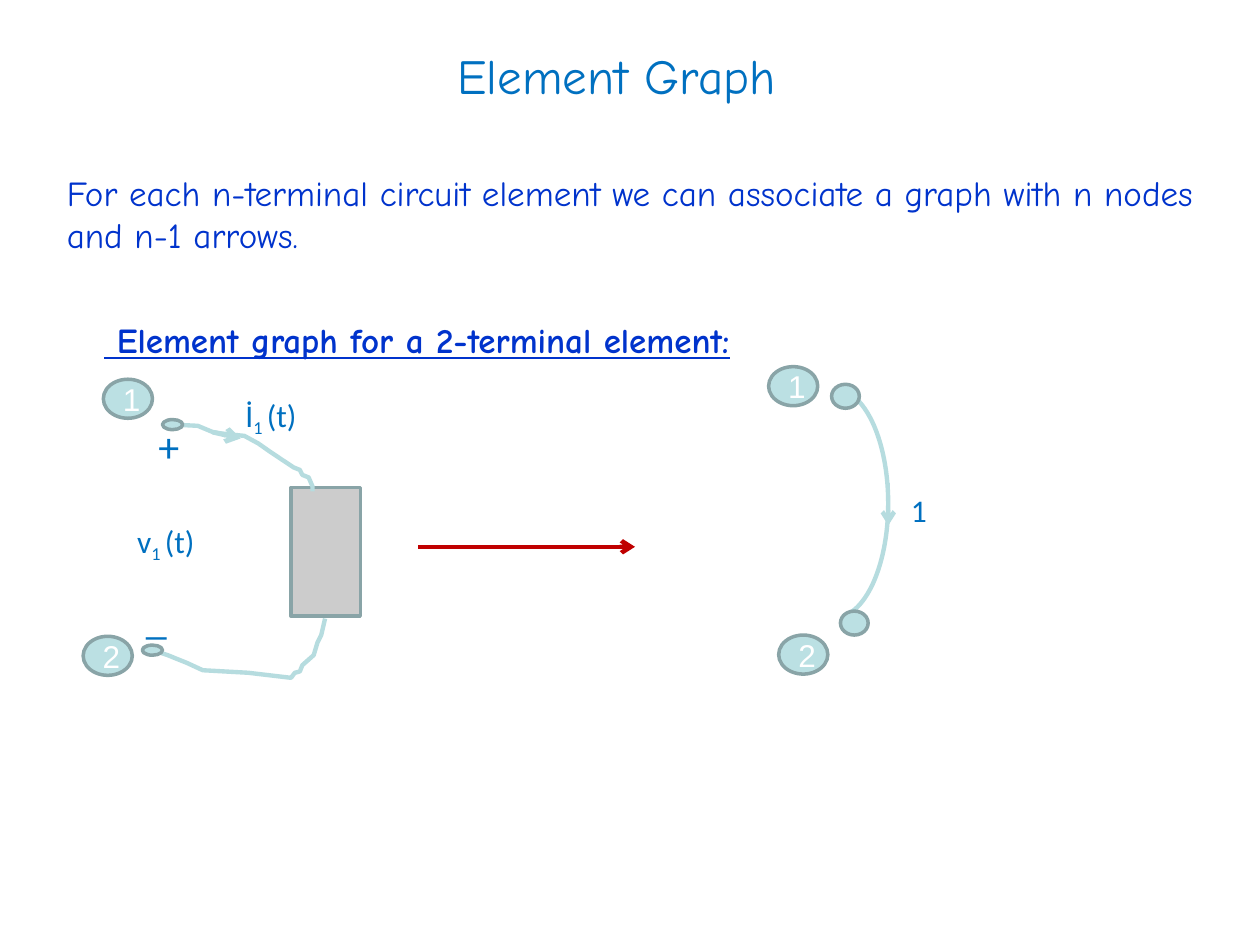
import pptx
import pptx.util
import pptx.dml.color
import pptx.enum.shapes
import pptx.enum.text
import pptx.oxml
import pptx.oxml.ns
from pptx.util import Inches

SHAPES = pptx.enum.shapes.MSO_SHAPE
BLUE, DEEP_BLUE, RED, WHITE = "0070C0", "0033CC", "C00000", "FFFFFF"
NODE_FILL, OUTLINE, WIRE, GREY = "BBE0E3", "89A4A7", "B6DCDF", "CCCCCC"


def color(value):
    return pptx.dml.color.RGBColor.from_string(value)


def add_run(paragraph, text, font, size, tint, bold=False, underline=False, baseline=0):
    run = paragraph.add_run()
    run.text = text
    run.font.name = font
    run.font.size = pptx.util.Pt(size)
    run.font.color.rgb = color(tint)
    run.font.bold = bold
    run.font.underline = underline
    if baseline:
        run._r.get_or_add_rPr().set("baseline", str(baseline * 1000))


def prepare_frame(shape, wrap=False, anchor="TOP"):
    frame = shape.text_frame
    frame.word_wrap = wrap
    frame.auto_size = pptx.enum.text.MSO_AUTO_SIZE.NONE
    frame.vertical_anchor = pptx.enum.text.MSO_ANCHOR[anchor]
    paragraph = frame.paragraphs[0]
    paragraph.space_before = pptx.util.Pt(0)
    return paragraph


def place(shape, left, top, width, height):
    shape.left, shape.top = Inches(left), Inches(top)
    shape.width, shape.height = Inches(width), Inches(height)


def add_label(slide, left, top, width, height, text, size=18, subscript=None, rest=""):
    box = slide.shapes.add_textbox(Inches(left), Inches(top), Inches(width), Inches(height))
    paragraph = prepare_frame(box)
    add_run(paragraph, text, "Calibri", size, BLUE)
    if subscript:
        add_run(paragraph, subscript, "Calibri", size, BLUE, baseline=-25)
        add_run(paragraph, rest, "Calibri", size, BLUE)


def add_filled(slide, kind, left, top, width, height, fill=NODE_FILL):
    shape = slide.shapes.add_shape(
        kind, Inches(left), Inches(top), Inches(width), Inches(height))
    shape.shadow.inherit = False
    shape.fill.solid()
    shape.fill.fore_color.rgb = color(fill)
    shape.line.color.rgb = color(OUTLINE)
    shape.line.width = pptx.util.Pt(2)
    return shape


def add_numbered_node(slide, left, top, number):
    node = add_filled(slide, SHAPES.OVAL, left, top, 0.39, 0.31)
    paragraph = prepare_frame(node, wrap=True, anchor="MIDDLE")
    paragraph.alignment = pptx.enum.text.PP_ALIGN.CENTER
    add_run(paragraph, number, "Arial", 18, WHITE)


def style_wire(shape):
    shape.shadow.inherit = False
    shape.fill.background()
    shape.line.color.rgb = color(WIRE)
    shape.line.width = pptx.util.Pt(2.5)


def add_wire(slide, left, top, points):
    corners = [(Inches(left + x), Inches(top + y)) for x, y in points]
    builder = slide.shapes.build_freeform(*corners[0])
    builder.add_line_segments(corners[1:], close=False)
    style_wire(builder.convert_to_shape())


def add_arrow(slide, x1, y1, x2, y2, tint, width):
    arrow = slide.shapes.add_connector(
        pptx.enum.shapes.MSO_CONNECTOR.STRAIGHT,
        Inches(x1), Inches(y1), Inches(x2), Inches(y2))
    arrow.line.color.rgb = color(tint)
    arrow.line.width = pptx.util.Pt(width)
    pptx.oxml.ns.qn("a:ln")
    line = arrow.line._get_or_add_ln()
    line.append(pptx.oxml.parse_xml(
        f'<a:tailEnd {pptx.oxml.ns.nsdecls("a")} type="arrow"/>'))
    arrow._element.spPr.append(pptx.oxml.parse_xml(
        f'<a:effectLst {pptx.oxml.ns.nsdecls("a")}/>'))


def add_heading(slide, left, top, width, height):
    title = slide.shapes.title
    place(title, left, top, width, height)
    paragraph = prepare_frame(title)
    paragraph.alignment = pptx.enum.text.PP_ALIGN.LEFT
    add_run(paragraph, "Element Graph", "Comic Neue", 28, BLUE)


def add_statement(slide, left, top, width, height):
    body = slide.placeholders[1]
    place(body, left, top, width, height)
    paragraph = prepare_frame(body, wrap=True)
    properties = paragraph._p.get_or_add_pPr()
    properties.set("marL", "0")
    properties.set("indent", "0")
    properties.append(pptx.oxml.parse_xml(f'<a:buNone {pptx.oxml.ns.nsdecls("a")}/>'))
    add_run(paragraph, "For each n-terminal circuit element we can associate a graph "
            "with n nodes and n-1 arrows.", "Comic Neue", 20, DEEP_BLUE)


def add_subheading(slide, left, top, width, height):
    box = slide.shapes.add_textbox(Inches(left), Inches(top), Inches(width), Inches(height))
    add_run(prepare_frame(box), " Element graph for a 2-terminal element:",
            "Comic Neue", 20, DEEP_BLUE, bold=True, underline=True)


def add_circuit_element(slide, left, top):
    # Element body and its two leads
    add_filled(slide, SHAPES.RECTANGLE, left + 1.65, top + 0.86, 0.55, 1.02, GREY)
    add_wire(slide, left, top, [
        (0.71, 0.36), (0.91, 0.37), (1.03, 0.42), (1.09, 0.43), (1.28, 0.45),
        (1.39, 0.51), (1.49, 0.58), (1.58, 0.64), (1.67, 0.7), (1.72, 0.72),
        (1.74, 0.76), (1.79, 0.78), (1.82, 0.85), (1.82, 0.89)])
    add_wire(slide, left, top, [
        (1.92, 1.9), (1.89, 2.03), (1.86, 2.09), (1.83, 2.19), (1.74, 2.27),
        (1.72, 2.32), (1.68, 2.33), (1.65, 2.37), (1.31, 2.33), (0.95, 2.31),
        (0.82, 2.25), (0.67, 2.19), (0.58, 2.16)])
    # Terminals and current direction
    for x, y in [(0.63, 0.32), (0.47, 2.11)]:
        add_filled(slide, SHAPES.OVAL, left + x, top + y, 0.16, 0.08)
    add_arrow(slide, left + 1.03, top + 0.42, left + 1.25, top + 0.47, WIRE, 2.75)
    # Current, voltage and polarity
    add_label(slide, left + 1.19, top + 0.08, 0.6, 0.44, "İ", subscript="1 ", rest="(t)")
    add_label(slide, left + 0.33, top + 1.08, 0.65, 0.44, "v", subscript="1 ", rest="(t)")
    add_label(slide, left + 0.5, top + 0.28, 0.36, 0.5, "+", 24)
    add_label(slide, left + 0.4, top + 1.64, 0.36, 0.5, "_", 24)
    add_numbered_node(slide, left + 0.16, top, "1")
    add_numbered_node(slide, left, top + 2.04, "2")


def add_element_graph(slide, left, top):
    add_numbered_node(slide, left, top, "1")
    add_numbered_node(slide, left + 0.08, top + 2.13, "2")
    # Branch from node 1 to node 2
    branch = slide.shapes.add_shape(
        SHAPES.ARC, Inches(left + 0.11), Inches(top + 0.18), Inches(0.84), Inches(1.81))
    branch.adjustments[0] = 162
    branch.adjustments[1] = 51.72
    style_wire(branch)
    add_arrow(slide, left + 0.95, top + 0.92, left + 0.95, top + 1.26, WIRE, 2.5)
    for x, y in [(0.5, 0.14), (0.57, 1.94)]:
        add_filled(slide, SHAPES.OVAL, left + x, top + y, 0.22, 0.19)
    add_label(slide, left + 1.03, top + 0.94, 0.32, 0.4, "1")


def main():
    presentation = pptx.Presentation()
    presentation.slide_width = Inches(10)
    presentation.slide_height = Inches(7.5)
    slide = presentation.slides.add_slide(presentation.slide_layouts[1])
    add_heading(slide, 3.53, 0.31, 2.73, 0.57)
    add_statement(slide, 0.43, 1.31, 9.41, 0.77)
    add_subheading(slide, 0.73, 2.48, 5.18, 0.44)
    add_circuit_element(slide, 0.66, 3.01)
    add_arrow(slide, 3.32, 4.34, 5.04, 4.34, RED, 2.5)
    add_element_graph(slide, 6.1, 2.91)
    presentation.save("out.pptx")


if __name__ == "__main__":
    main()
